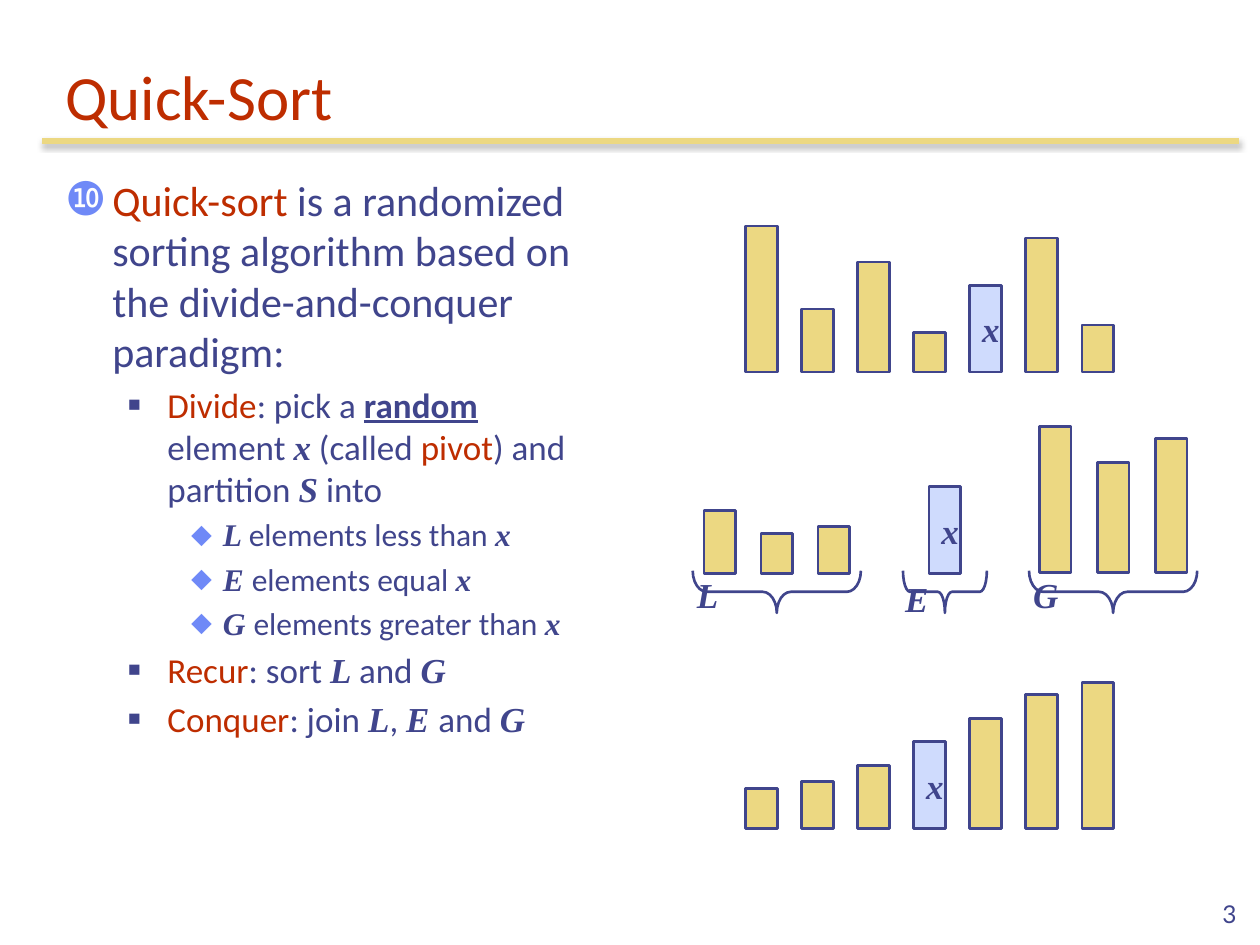
from dataclasses import dataclass
from typing import NamedTuple

from lxml.etree import SubElement
from pptx import Presentation
from pptx.dml.color import RGBColor
from pptx.enum.shapes import MSO_CONNECTOR, MSO_SHAPE
from pptx.enum.text import MSO_ANCHOR, MSO_AUTO_SIZE, PP_ALIGN
from pptx.oxml.ns import qn
from pptx.util import Cm, Pt


@dataclass(frozen=True)
class Theme:
    """Colours, fonts and type sizes of the slide."""
    ink: str = "40458C"
    accent: str = "BE2D00"
    gold: str = "ECD882"
    pivot: str = "CFDBFD"
    bullet: str = "6F89F7"
    shadow: str = "000000"
    text_font: str = "Calibri"
    math_font: str = "Times New Roman"
    number_font: str = "Lato"
    title_size: int = 36
    label_size: int = 20
    number_size: int = 14
    outline: float = 1.5


THEME = Theme()


class Level(NamedTuple):
    """Format of one outline level."""
    size: int
    indent: float
    hanging: float
    bullet: str
    bullet_color: str
    bullet_percent: int


class Span(NamedTuple):
    """A run of text; kind is plain, key, strong or math."""
    text: str
    kind: str = "plain"


class Item(NamedTuple):
    """One outline paragraph."""
    level: int
    spans: list[Span]


class BarRow(NamedTuple):
    """Evenly spaced bars standing on one base line."""
    left: float
    base: float
    pitch: float
    heights: list[float]


class Brace(NamedTuple):
    """A brace below a group of bars."""
    label: str
    center: float
    span: float
    curl: float


LEVELS = [
    Level(24, 0.95, 0.95, "\u277f", THEME.bullet, 110),
    Level(20, 2.06, 0.79, "\u25a0", THEME.ink, 60),
    Level(18, 3.18, 0.64, "\u2b25", THEME.bullet, 95),
]
OUTLINE = [
    Item(0, [Span("Quick-sort", "key"),
             Span(" is a randomized sorting algorithm based on the divide-and-conquer paradigm:")]),
    Item(1, [Span("Divide", "key"), Span(": pick a "), Span("random", "strong"),
             Span(" element "), Span("x", "math"), Span(" (called "), Span("pivot", "key"),
             Span(") and partition "), Span("S", "math"), Span(" into")]),
    *(Item(2, [Span(f"{part} ", "math"), Span(f"elements {relation} "), Span("x", "math")])
      for part, relation in [("L", "less than"), ("E", "equal"), ("G", "greater than")]),
    Item(1, [Span("Recur", "key"), Span(": sort "), Span("L ", "math"), Span("and "),
             Span("G", "math")]),
    Item(1, [Span("Conquer", "key"), Span(": join "), Span("L", "math"), Span(", "),
             Span("E ", "math"), Span("and "), Span("G", "math")]),
]

BAR_WIDTH = 0.64
PIVOT_HEIGHT = 1.75
SORTED_HEIGHTS = [0.8, 0.95, 1.27, PIVOT_HEIGHT, 2.22, 2.7, 2.94]
A, B, C, D, E, F, G = SORTED_HEIGHTS
BAR_ROWS = [
    BarRow(15.03, 7.5, 1.13, [G, C, E, A, D, F, B]),
    BarRow(14.19, 11.56, 1.15, [C, A, B]),
    BarRow(18.73, 11.56, 1.15, [D]),
    BarRow(20.95, 11.54, 1.17, [G, E, F]),
    BarRow(15.03, 16.7, 1.13, SORTED_HEIGHTS),
]
BRACE_DEPTH = 0.85
BRACE_MIDDLE = 11.93
BRACES = [Brace("L", 15.66, 3.39, 0.333), Brace("E", 19.05, 1.69, 0.167),
          Brace("G", 22.44, 3.39, 0.333)]


def color(value: str) -> RGBColor:
    """Turn a hex string into a colour."""
    return RGBColor.from_string(value)


def add_run(paragraph, text: str, *, size: float, fill: str = THEME.ink,
            font: str = THEME.text_font, bold: bool = False, italic: bool = False,
            underline: bool = False) -> None:
    """Add formatted text to a paragraph."""
    run = paragraph.add_run()
    run.text = text
    run.font.size, run.font.name = Pt(size), font
    run.font.bold, run.font.italic, run.font.underline = bold, italic, underline
    run.font.color.rgb = color(fill)


SPAN_FORMATS = {
    "plain": {},
    "key": {"fill": THEME.accent},
    "strong": {"bold": True, "underline": True},
    "math": {"font": THEME.math_font, "bold": True, "italic": True},
}


def place(item, left: float, top: float, width: float, height: float) -> None:
    """Set position and size in centimetres."""
    item.left, item.top, item.width, item.height = map(Cm, (left, top, width, height))


def format_level(paragraph, level: Level) -> None:
    """Set indent, spacing and bullet of an outline paragraph."""
    properties = paragraph._p.get_or_add_pPr()
    properties.set("marL", str(Cm(level.indent)))
    properties.set("indent", str(-Cm(level.hanging)))
    spacing = SubElement(properties, qn("a:spcBef"))
    SubElement(spacing, qn("a:spcPct"), val="20000")
    tint = SubElement(properties, qn("a:buClr"))
    SubElement(tint, qn("a:srgbClr"), val=level.bullet_color)
    SubElement(properties, qn("a:buSzPct"), val=str(level.bullet_percent * 1000))
    SubElement(properties, qn("a:buChar"), char=level.bullet)


def add_outline(body) -> None:
    """Fill the body placeholder with the outline."""
    place(body, 1.06, 3.39, 11.22, 14.63)
    frame = body.text_frame
    frame.auto_size = MSO_AUTO_SIZE.NONE
    for index, item in enumerate(OUTLINE):
        paragraph = frame.add_paragraph() if index else frame.paragraphs[0]
        paragraph.level = item.level
        format_level(paragraph, LEVELS[item.level])
        for span in item.spans:
            add_run(paragraph, span.text, size=LEVELS[item.level].size,
                    **SPAN_FORMATS[span.kind])


def add_figure(slide, preset, left: float, top: float, width: float, height: float,
               fill: str | None = None, label: str = ""):
    """Add an outlined shape with an optional mathematical label."""
    figure = slide.shapes.add_shape(preset, *map(Cm, (left, top, width, height)))
    figure.shadow.inherit = False
    figure.line.color.rgb, figure.line.width = color(THEME.ink), Pt(THEME.outline)
    if fill:
        figure.fill.solid()
        figure.fill.fore_color.rgb = color(fill)
    else:
        figure.fill.background()
    if label:
        figure.text_frame.word_wrap = False
        paragraph = figure.text_frame.paragraphs[0]
        paragraph.alignment = PP_ALIGN.LEFT
        add_run(paragraph, label, size=THEME.label_size, **SPAN_FORMATS["math"])
    return figure


def add_bars(slide, row: BarRow) -> None:
    """Draw a row of bars and mark the pivot."""
    for index, height in enumerate(row.heights):
        is_pivot = height == PIVOT_HEIGHT
        add_figure(slide, MSO_SHAPE.RECTANGLE, row.left + index * row.pitch,
                   row.base - height, BAR_WIDTH, height,
                   THEME.pivot if is_pivot else THEME.gold, "x" if is_pivot else "")


def add_brace(slide, brace: Brace) -> None:
    """Draw a labelled brace that opens upwards."""
    figure = add_figure(slide, MSO_SHAPE.LEFT_BRACE, brace.center - BRACE_DEPTH / 2,
                        BRACE_MIDDLE - brace.span / 2, BRACE_DEPTH, brace.span,
                        label=brace.label)
    figure.rotation = 270
    figure.adjustments[0] = brace.curl
    frame = figure.text_frame
    frame.margin_left, frame.margin_right = Cm(0.25), Cm(1.52)
    frame.margin_top = frame.margin_bottom = 0
    frame.vertical_anchor = MSO_ANCHOR.TOP
    frame._txBody.bodyPr.set("vert", "eaVert")


def add_title_rule(slide) -> None:
    """Draw the line below the title with its soft shadow."""
    rule = slide.shapes.add_connector(MSO_CONNECTOR.STRAIGHT, Cm(0.85), Cm(2.84),
                                      Cm(24.98), Cm(2.84))
    rule.line.color.rgb, rule.line.width = color(THEME.gold), Pt(3)
    effects = SubElement(rule._element.spPr, qn("a:effectLst"))
    shadow = SubElement(effects, qn("a:outerShdw"), blurRad=str(Pt(3.1)),
                        dist=str(Pt(1.8)), dir="5400000", rotWithShape="0")
    tint = SubElement(shadow, qn("a:srgbClr"), val=THEME.shadow)
    SubElement(tint, qn("a:alpha"), val="35000")


def add_title(title) -> None:
    """Place and format the title."""
    place(title, 1.06, 0.85, 23.71, 1.97)
    title.text_frame.auto_size = MSO_AUTO_SIZE.NONE
    title.text_frame.vertical_anchor = MSO_ANCHOR.BOTTOM
    paragraph = title.text_frame.paragraphs[0]
    paragraph.alignment = PP_ALIGN.LEFT
    add_run(paragraph, "Quick-Sort", size=THEME.title_size, fill=THEME.accent)


def add_page_number(slide) -> None:
    """Write the page number at the lower right."""
    number = slide.shapes.add_textbox(Cm(19.9), Cm(17.57), Cm(5.28), Cm(1.27))
    number.text_frame.word_wrap = True
    number.text_frame.vertical_anchor = MSO_ANCHOR.BOTTOM
    paragraph = number.text_frame.paragraphs[0]
    paragraph.alignment = PP_ALIGN.RIGHT
    add_run(paragraph, "3", size=THEME.number_size, font=THEME.number_font)


def main() -> None:
    """Build and save the slide."""
    deck = Presentation()
    deck.slide_width, deck.slide_height = Cm(25.4), Cm(19.05)
    slide = deck.slides.add_slide(deck.slide_layouts[1])
    add_title_rule(slide)
    add_title(slide.shapes.title)
    add_outline(slide.placeholders[1])
    add_page_number(slide)
    for row in BAR_ROWS:
        add_bars(slide, row)
    for brace in BRACES:
        add_brace(slide, brace)
    deck.save("out.pptx")


main()
